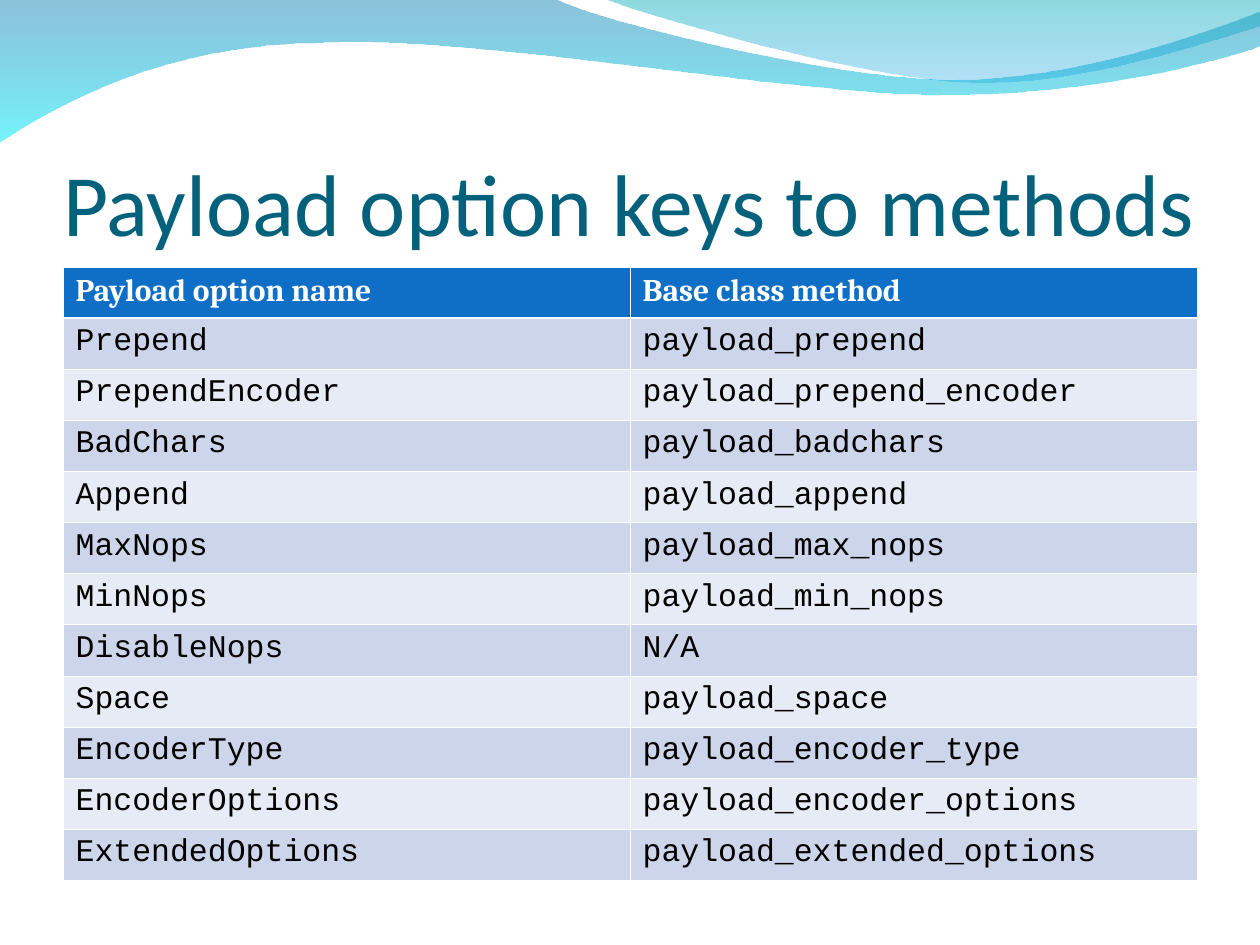
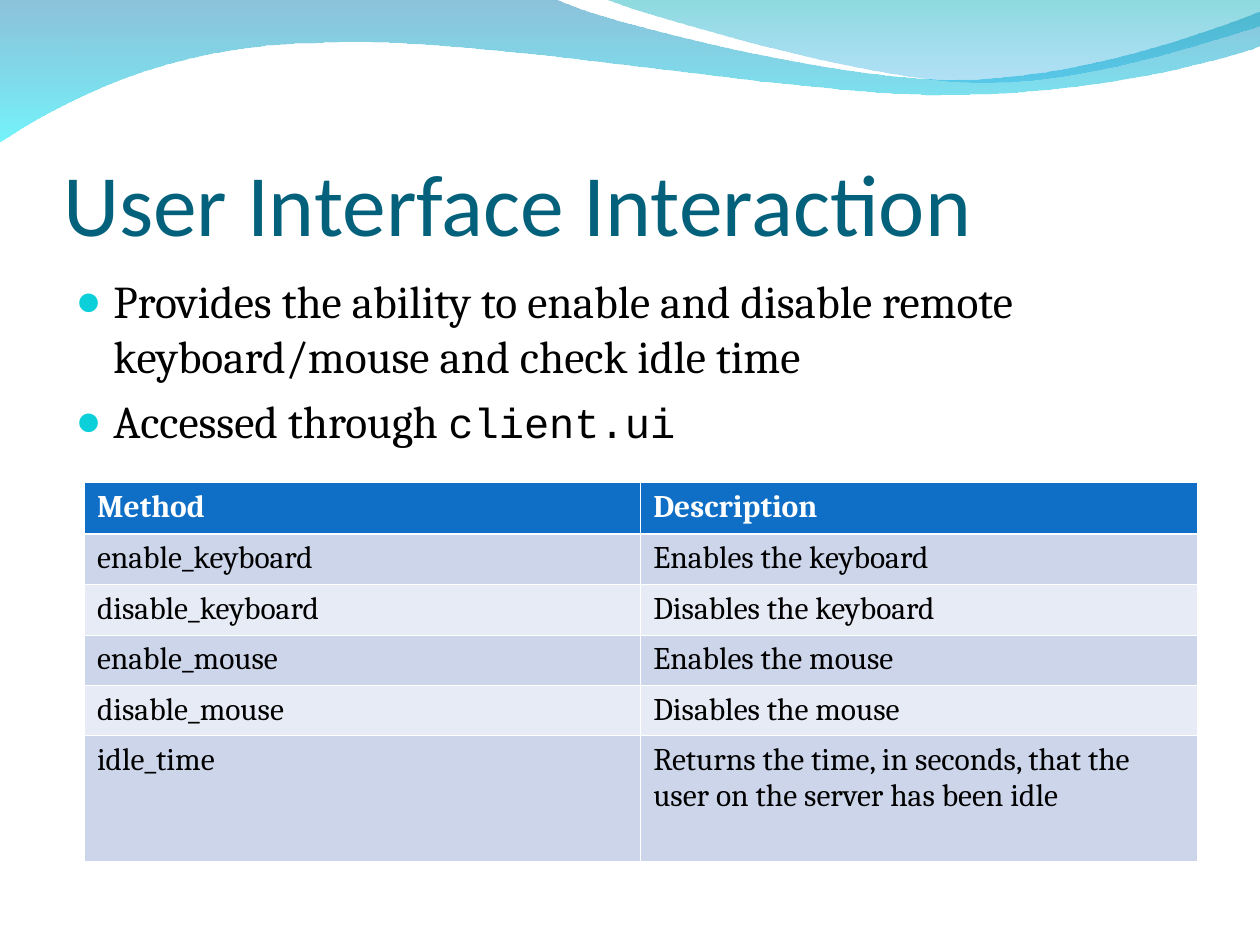
from lxml import etree
from pptx import Presentation
from pptx.dml.color import RGBColor
from pptx.enum.text import MSO_ANCHOR, MSO_AUTO_SIZE, PP_ALIGN
from pptx.oxml.ns import qn
from pptx.util import Inches, Pt

BOTTOM, TOP = MSO_ANCHOR.BOTTOM, MSO_ANCHOR.TOP
LEFT = PP_ALIGN.LEFT
NO_FIT = MSO_AUTO_SIZE.NONE

# Theme
TEAL = RGBColor(0x04, 0x61, 0x7B)
AQUA = RGBColor(0x0B, 0xD0, 0xD9)
BLUE = RGBColor(0x0F, 0x6F, 0xC6)
DARK_ROW = RGBColor(0xCC, 0xD5, 0xEA)
LIGHT_ROW = RGBColor(0xE7, 0xEB, 0xF5)
BLACK = RGBColor(0, 0, 0)
WHITE = RGBColor(0xFF, 0xFF, 0xFF)
HEAD, BODY, CODE = "Calibri", "Cambria", "Courier New"

# Waves: start point, then lines (one point) and curves (three points)
WAVES = [
    ([(0, -0.01), (4.4, -0.01),
      (4.76, 0.17, 6.64, 0.63, 7.58, 0.63),
      (8.53, 0.63, 9.58, 0.26, 10, 0.09), (10.01, 0.36),
      (9.83, 0.44, 8.7, 0.76, 7.46, 0.75),
      (6.22, 0.75, 3.82, 0.28, 2.57, 0.34),
      (1.29, 0.35, 0.46, 0.83, -0.01, 1.13), (0, -0.01)],
     [(RGBColor(0x00, 0x79, 0xAF), 45), (RGBColor(0x00, 0xEB, 0xF8), 55)]),
    ([(4.79, -0.01),
      (5.09, 0.11, 6.82, 0.62, 7.69, 0.65),
      (8.56, 0.69, 9.61, 0.32, 10, 0.21), (10, 0), (4.79, -0.01)],
     [(RGBColor(0x00, 0xAD, 0xB6), 45), (RGBColor(0x00, 0x9B, 0xE5), 30)]),
]

TITLE_BOX = (0.5, 0.77, 9, 1.25)
LIST_BOX = (0.5, 2.12, 9, 1.55)

KEYS = [
    ("Payload option name", "Base class method"),
    ("Prepend", "payload_prepend"),
    ("PrependEncoder", "payload_prepend_encoder"),
    ("BadChars", "payload_badchars"),
    ("Append", "payload_append"),
    ("MaxNops", "payload_max_nops"),
    ("MinNops", "payload_min_nops"),
    ("DisableNops", "N/A"),
    ("Space", "payload_space"),
    ("EncoderType", "payload_encoder_type"),
    ("EncoderOptions", "payload_encoder_options"),
    ("ExtendedOptions", "payload_extended_options"),
]
CALLS = [
    ("Method", "Description"),
    ("enable_keyboard", "Enables the keyboard"),
    ("disable_keyboard", "Disables the keyboard"),
    ("enable_mouse", "Enables the mouse"),
    ("disable_mouse", "Disables the mouse"),
    ("idle_time", "Returns the time, in seconds, that the user on the "
                  "server has been idle"),
]
# Each point is a list of (text, font, size) runs
POINTS = [
    [("Provides the ability to enable and disable remote keyboard/mouse "
      "and check idle time", BODY, 26)],
    [("Accessed through ", BODY, 26), ("client.ui", CODE, 24)],
]


def style(run, font, size, color, bold=False):
    run.font.name, run.font.size, run.font.bold = font, Pt(size), bold
    run.font.color.rgb = color


def place(shape, box):
    shape.left, shape.top, shape.width, shape.height = map(Inches, box)


def draw_wave(slide, parts):
    """Lay out all points as lines, then join each curve's three points."""
    pts = [(Inches(part[i]), Inches(part[i + 1]))
           for part in parts for i in range(0, len(part), 2)]
    pen = slide.shapes.build_freeform(*pts[0])
    pen.add_line_segments(pts[1:], close=True)
    wave = pen.convert_to_shape()
    lines = wave.element.spPr.iter(qn("a:lnTo"))
    lines = iter(list(lines))
    for part in parts[1:]:
        line = next(lines)
        if len(part) == 6:
            curve = etree.Element(qn("a:cubicBezTo"))
            line.addprevious(curve)
            for old in (line, next(lines), next(lines)):
                curve.append(old[0])
                old.getparent().remove(old)
    return wave


def add_waves(slide, master):
    """Draw the waves and move them to the back of the master."""
    for depth, (parts, stops) in enumerate(WAVES):
        wave = draw_wave(slide, parts)
        wave.shadow.inherit = False
        wave.line.fill.background()
        wave.fill.gradient()
        wave.fill.gradient_angle = 270
        for stop, (color, _) in zip(wave.fill.gradient_stops, stops):
            stop.color.rgb = color
        tints = wave.element.spPr.iter(qn("a:srgbClr"))
        for tint, (_, alpha) in zip(tints, stops):
            etree.SubElement(tint, qn("a:alpha"), val=str(alpha * 1000))
        master.shapes.element.insert(2 + depth, wave.element)


def add_title(slide, text, box):
    title = slide.shapes.title
    place(title, box)
    frame = title.text_frame
    frame.text = text
    frame.auto_size, frame.vertical_anchor = NO_FIT, BOTTOM
    frame.margin_left = frame.margin_right = frame.margin_bottom = 0
    frame.margin_top = Inches(0.05)
    para = frame.paragraphs[0]
    para.alignment = LEFT
    style(para.runs[0], HEAD, 50, TEAL)


def add_bullet(para):
    props = para._p.get_or_add_pPr()
    props.set("marL", str(Inches(0.3)))
    props.set("indent", str(Inches(-0.3)))
    tint = etree.SubElement(props, qn("a:buClr"))
    etree.SubElement(tint, qn("a:srgbClr"), val=str(AQUA))
    etree.SubElement(props, qn("a:buSzPct"), val="95000")
    etree.SubElement(props, qn("a:buChar"), char="●")


def add_list(slide, points, box):
    body = slide.placeholders[1]
    place(body, box)
    frame = body.text_frame
    frame.auto_size, frame.vertical_anchor = NO_FIT, TOP
    for i, point in enumerate(points):
        para = frame.add_paragraph() if i else frame.paragraphs[0]
        para.space_before = Pt(6 if i else 6.5)
        add_bullet(para)
        for text, font, size in point:
            run = para.add_run()
            run.text = text
            style(run, font, size, BLACK)


def add_edges(cell, row):
    """Draw white rules, with a thicker one under the header."""
    props = cell._tc.get_or_add_tcPr()
    thick = {0: "lnB", 1: "lnT"}.get(row)
    for i, side in enumerate(("lnL", "lnR", "lnT", "lnB")):
        width = Pt(1.47 if side == thick else 0.45)
        edge = etree.Element(qn("a:" + side), w=str(width))
        fill = etree.SubElement(edge, qn("a:solidFill"))
        etree.SubElement(fill, qn("a:srgbClr"), val=str(WHITE))
        props.insert(i, edge)


def add_grid(slide, rows, box, heights, font):
    shape = slide.shapes.add_table(len(rows), len(rows[0]),
                                   *map(Inches, box))
    grid = shape.table
    for r, (texts, height) in enumerate(zip(rows, heights)):
        grid.rows[r].height = Inches(height)
        for c, text in enumerate(texts):
            cell = grid.cell(r, c)
            cell.text = text
            cell.fill.solid()
            run = cell.text_frame.paragraphs[0].runs[0]
            if r == 0:
                cell.fill.fore_color.rgb = BLUE
                style(run, BODY, 18, WHITE, True)
            else:
                cell.fill.fore_color.rgb = DARK_ROW if r % 2 else LIGHT_ROW
                style(run, font, 18, BLACK)
            add_edges(cell, r)


def keys_slide(deck):
    slide = deck.slides.add_slide(deck.slide_layouts[5])
    add_title(slide, "Payload option keys to methods", TITLE_BOX)
    count = len(KEYS)
    add_grid(slide, KEYS, (0.5, 2.12, 9, 4.87), [4.87 / count] * count, CODE)
    return slide


def calls_slide(deck):
    slide = deck.slides.add_slide(deck.slide_layouts[1])
    add_title(slide, "User Interface Interaction", TITLE_BOX)
    add_list(slide, POINTS, LIST_BOX)
    heights = [0.41] + [0.4] * 4 + [1]
    add_grid(slide, CALLS, (0.67, 3.83, 8.83, 3.01), heights, BODY)


def main():
    deck = Presentation()
    deck.slide_width, deck.slide_height = Inches(10), Inches(7.5)
    first = keys_slide(deck)
    add_waves(first, deck.slide_master)
    calls_slide(deck)
    deck.save("out.pptx")


if __name__ == "__main__":
    main()
